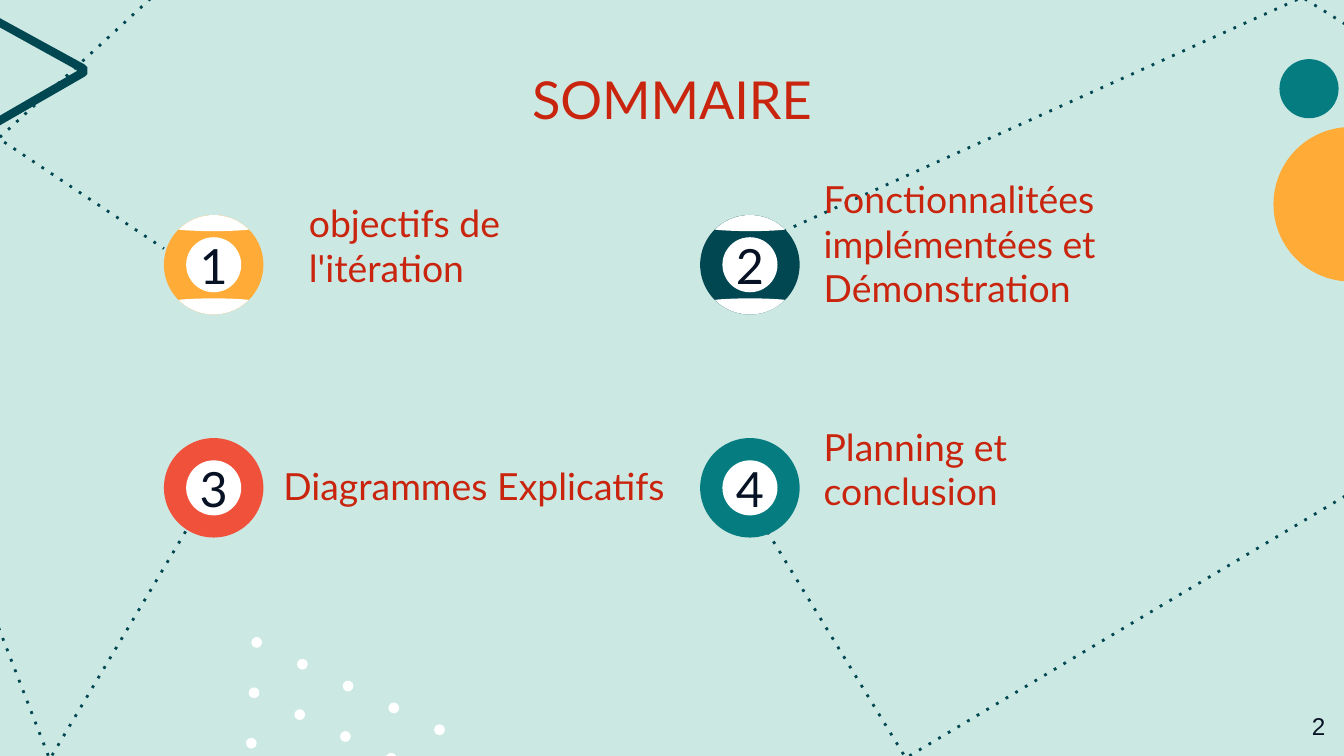
"""Build the summary slide with four numbered balls and their headings."""
import math
from dataclasses import dataclass

import pptx
import pptx.dml.color
import pptx.enum.dml
import pptx.enum.shapes
import pptx.enum.text
import pptx.util

Inches = pptx.util.Inches
Align = pptx.enum.text.PP_ALIGN
Anchor = pptx.enum.text.MSO_ANCHOR
Point = tuple[float, float]

COLORS = {
    "mint": "CCE8E3",
    "navy": "004752",
    "teal": "057D80",
    "orange": "FFAB37",
    "coral": "F0513B",
    "white": "FFFFFF",
    "red": "C9240D",
    "ink": "071224",
}


@dataclass
class Label:
    text: str
    left: float
    top: float
    width: float
    height: float
    size: float
    color: str = "red"
    align: Align = Align.LEFT
    anchor: Anchor = Anchor.BOTTOM
    font: str = "Lato"


@dataclass
class Ball:
    number: str
    x: float
    y: float
    color: str
    striped: bool
    heading: Label


DOTTED_PATHS = [
    [(1.12, -0.01), (-0.01, 1.03), (1.22, 1.85)],
    [(10.01, 0.18), (9.69, -0.02), (5.81, 1.73)],
    [(-0.01, 4.67), (0.37, 5.65), (1.42, 3.89)],
    [(10.01, 3.69), (6.74, 5.64), (5.67, 3.89)],
]
TRIANGLE = [
    [(-0.59, -0.16), (-0.62, -0.11), (-0.64, 1.22), (-0.62, 1.26), (-0.57, 1.26),
     (0.63, 0.57), (0.65, 0.55), (0.65, 0.5), (0.63, 0.48), (-0.54, -0.16)],
    [(-0.55, -0.1), (0.57, 0.52), (0.57, 0.53), (-0.57, 1.19), (-0.59, 1.19), (-0.56, -0.09)],
]
DOT_ROWS = [5, 4, 1]
BALLS = [
    Ball("1", 1.59, 1.97, "orange", True,
         Label("objectifs de l'itération", 2.2, 1.68, 2.83, 0.58, 20)),
    Ball("2", 5.58, 1.97, "navy", True,
         Label("Fonctionnalitées implémentées et Démonstration", 6.03, 1.6, 3.71, 0.81, 20)),
    Ball("3", 1.59, 3.63, "coral", False,
         Label("Diagrammes Explicatifs", 2.01, 3.38, 3.14, 0.5, 20)),
    Ball("4", 5.58, 3.63, "teal", False,
         Label("Planning et conclusion", 6.03, 3.34, 2.83, 0.58, 20)),
]


def rgb(name: str) -> pptx.dml.color.RGBColor:
    """Return the named colour."""
    return pptx.dml.color.RGBColor.from_string(COLORS[name])


def paint(shape, color: str) -> None:
    """Give a shape a flat fill without line or shadow."""
    shape.shadow.inherit = False
    shape.fill.solid()
    shape.fill.fore_color.rgb = rgb(color)
    shape.line.fill.background()


def add_outline(page, contours: list[list[Point]], closed: bool = True):
    """Add a freeform made of one or more contours given in inches."""
    scaled = [[(Inches(x), Inches(y)) for x, y in contour] for contour in contours]
    builder = page.shapes.build_freeform(*scaled[0][0])
    for index, contour in enumerate(scaled):
        if index:
            builder.move_to(*contour[0])
        builder.add_line_segments(contour[1:], close=closed)
    return builder.convert_to_shape()


def add_dotted_path(page, points: list[Point]) -> None:
    """Add an open dotted line through the points."""
    shape = add_outline(page, [points], closed=False)
    shape.shadow.inherit = False
    shape.fill.background()
    shape.line.color.rgb = rgb("navy")
    shape.line.width = pptx.util.Pt(1.5)
    shape.line.dash_style = pptx.enum.dml.MSO_LINE.ROUND_DOT
    shape._element.xpath(".//a:prstDash")[0].set("val", "dot")


def add_circle(page, x: float, y: float, diameter: float, color: str) -> None:
    """Add a filled circle centred on a point."""
    left, top = Inches(x - diameter / 2), Inches(y - diameter / 2)
    oval = pptx.enum.shapes.MSO_SHAPE.OVAL
    paint(page.shapes.add_shape(oval, left, top, Inches(diameter), Inches(diameter)), color)


def add_cap(page, x: float, y: float, side: int) -> None:
    """Add the white cap of a striped ball, above (-1) or below (1) its centre."""
    angles = [math.radians(degrees) for degrees in range(45, 136, 5)]
    rim = [(x + 0.37 * math.cos(angle), y + side * 0.37 * math.sin(angle)) for angle in angles]
    steps = [step / 8 for step in range(-7, 8)]
    edge = [(x + 0.26 * step, y + side * (0.25 + 0.01 * step ** 2)) for step in steps]
    paint(add_outline(page, [rim + edge]), "white")


def add_label(page, label: Label) -> None:
    """Add a text box holding one paragraph."""
    lengths = (label.left, label.top, label.width, label.height)
    box = page.shapes.add_textbox(*map(Inches, lengths))
    frame = box.text_frame
    frame.word_wrap = True
    frame.vertical_anchor = label.anchor
    frame.margin_left = frame.margin_right = Inches(0.1)
    frame.margin_top = frame.margin_bottom = Inches(0.1)
    para = frame.paragraphs[0]
    para.text = label.text
    para.alignment = label.align
    para.font.name = label.font
    para.font.size = pptx.util.Pt(label.size)
    para.font.color.rgb = rgb(label.color)


def add_ball(page, ball: Ball) -> None:
    """Add a numbered ball and its heading."""
    add_circle(page, ball.x, ball.y, 0.74, ball.color)
    if ball.striped:
        for side in (-1, 1):
            add_cap(page, ball.x, ball.y, side)
    add_circle(page, ball.x, ball.y, 0.41, "white")
    add_label(page, Label(ball.number, ball.x - 0.3, ball.y - 0.29, 0.6, 0.58, 26,
                          "ink", Align.CENTER, Anchor.MIDDLE))
    add_label(page, ball.heading)


def main() -> None:
    """Build and save the deck."""
    deck = pptx.Presentation()
    deck.slide_width = Inches(10)
    deck.slide_height = Inches(10 * 9 / 16)
    page = deck.slides.add_slide(deck.slide_layouts[6])
    page.background.fill.solid()
    page.background.fill.fore_color.rgb = rgb("mint")

    for points in DOTTED_PATHS:
        add_dotted_path(page, points)
    paint(add_outline(page, TRIANGLE), "navy")
    for row, count in enumerate(DOT_ROWS):
        for column in range(count):
            x = 1.91 + 0.34 * column - 0.02 * row
            y = 4.78 + 0.65 * column / 4 + 0.75 * row / 2
            add_circle(page, x, y, 0.08, "white")
    add_circle(page, 10.05, 1.52, 1.15, "orange")
    add_circle(page, 9.74, 0.66, 0.44, "teal")

    add_label(page, Label("SOMMAIRE", 0.83, 0.42, 8.34, 0.63, 28,
                          align=Align.CENTER, anchor=Anchor.MIDDLE))
    for ball in BALLS:
        add_ball(page, ball)
    add_label(page, Label("2", 9.36, 5.19, 0.6, 0.43, 13, "ink",
                          Align.RIGHT, Anchor.TOP, "Arial"))
    deck.save("out.pptx")


if __name__ == "__main__":
    main()
